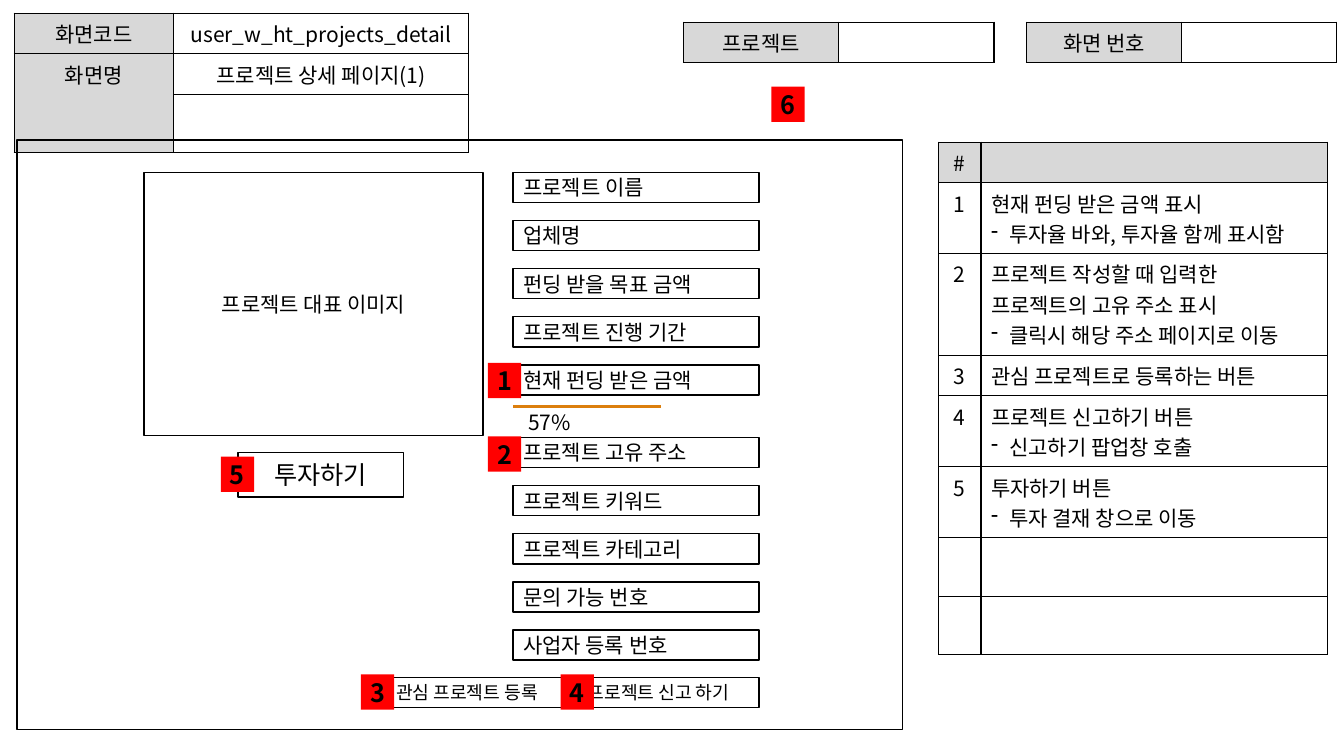
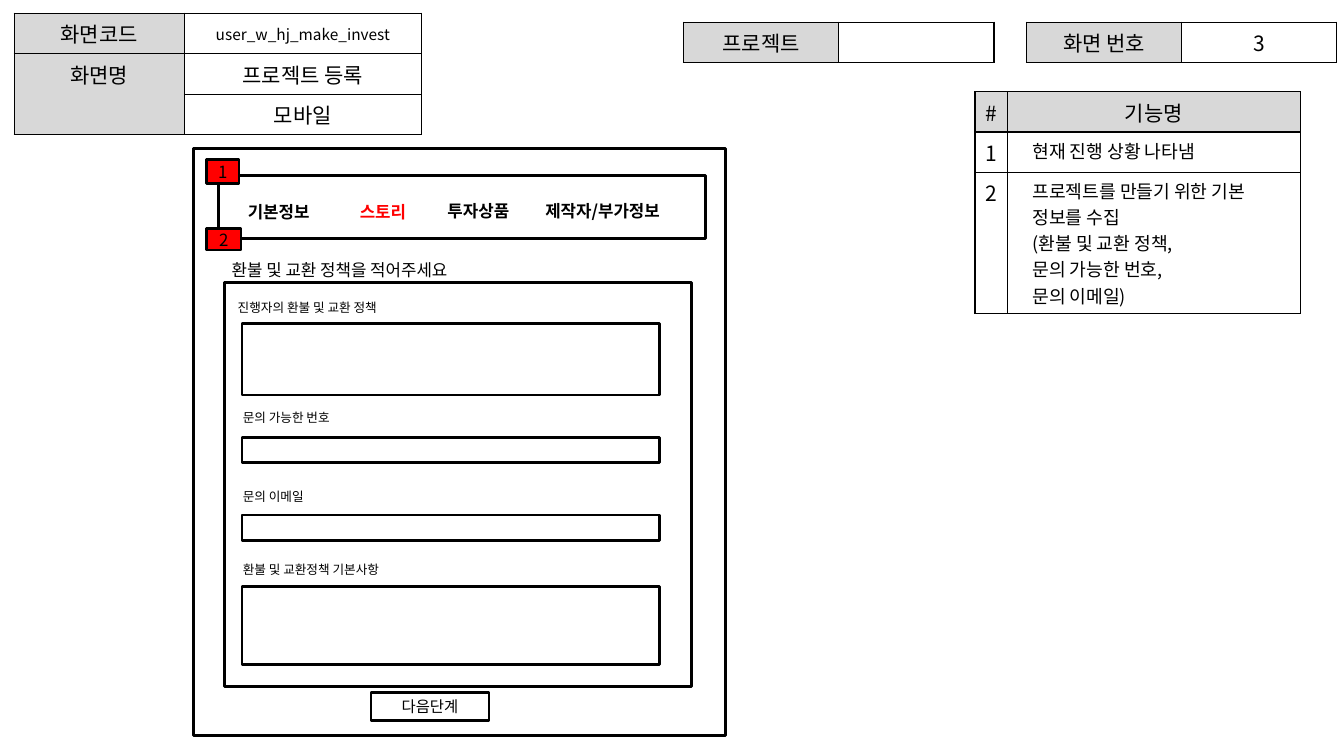
from dataclasses import dataclass
from typing import NamedTuple, Optional

from lxml.etree import SubElement
from pptx import Presentation
from pptx.dml.color import RGBColor
from pptx.enum.shapes import MSO_CONNECTOR as Connector, MSO_SHAPE as Preset
from pptx.enum.text import MSO_ANCHOR as Anchor, PP_ALIGN as Align
from pptx.oxml.ns import qn
from pptx.slide import Slide
from pptx.util import Inches, Pt


# Theme: colours, type sizes and line weights
@dataclass(frozen=True)
class Theme:
    font: str = "Noto Sans CJK KR"
    ink: str = "000000"
    paper: str = "FFFFFF"
    header: str = "D8D8D8"
    marker: str = "FF0000"
    progress: str = "DC7F0D"
    caption: int = 9
    small: int = 11
    label: int = 12
    note: int = 13
    body: int = 15
    large: int = 18
    border: float = 0.96
    thin: float = 1
    thick: float = 2


THEME = Theme()


class Area(NamedTuple):
    left: float
    top: float
    width: float
    height: float


@dataclass(frozen=True)
class Look:
    size: int = THEME.body
    color: str = THEME.ink
    bold: bool = False
    align: Align = Align.LEFT
    anchor: Anchor = Anchor.MIDDLE
    fill: Optional[str] = None
    line: float = 0
    wrap: bool = True


@dataclass(frozen=True)
class Cell:
    text: str = ""
    fill: str = THEME.paper
    size: int = THEME.body
    align: Align = Align.CENTER
    anchor: Anchor = Anchor.TOP
    indent: float = 0


class FieldGroup(NamedTuple):
    first_top: float
    last_top: float
    labels: list[str]


class FormInput(NamedTuple):
    caption: str
    caption_left: float
    caption_top: float
    top: float
    height: float


class NavTab(NamedTuple):
    text: str
    area: Area
    color: str = THEME.ink


FIELD = Look(line=THEME.thin)
FIELD_BUTTON = Look(size=THEME.note, line=THEME.thin)
IMAGE_AREA = Look(align=Align.CENTER, line=THEME.thin)
INVEST_BUTTON = Look(size=THEME.large, align=Align.CENTER, fill=THEME.paper, line=THEME.thin)
PERCENT = Look(align=Align.CENTER, fill=THEME.paper, wrap=False)
BADGE = Look(size=THEME.large, bold=True, align=Align.CENTER, fill=THEME.marker, wrap=False)
STEP_BADGE = Look(size=THEME.label, align=Align.CENTER, fill=THEME.marker,
                  line=THEME.thick, wrap=False)
OUTLINE = Look(line=THEME.thick)
NEXT_BUTTON = Look(size=THEME.small, align=Align.CENTER, line=THEME.thick)


# Drawing helpers
def inches(area: Area) -> list[int]:
    return [Inches(length) for length in area]


def write_run(paragraph, text: str, size: int, color: str, bold: bool = False) -> None:
    run = paragraph.add_run()
    run.text = text
    for name, value in {"name": THEME.font, "size": Pt(size), "bold": bold}.items():
        setattr(run.font, name, value)
    run.font.color.rgb = RGBColor.from_string(color)
    SubElement(run.font._element, qn("a:ea"), typeface=THEME.font)


def draw_box(slide: Slide, area: Area, look: Look, text: str = "") -> None:
    box = slide.shapes.add_shape(Preset.RECTANGLE, *inches(area))
    box.shadow.inherit = False
    if look.fill:
        box.fill.solid()
        box.fill.fore_color.rgb = RGBColor.from_string(look.fill)
    else:
        box.fill.background()
    if look.line:
        box.line.width = Pt(look.line)
        box.line.color.rgb = RGBColor.from_string(THEME.ink)
    else:
        box.line.fill.background()
    if text:
        frame = box.text_frame
        for name, value in {"word_wrap": look.wrap, "vertical_anchor": look.anchor}.items():
            setattr(frame, name, value)
        frame.paragraphs[0].alignment = look.align
        write_run(frame.paragraphs[0], text, look.size, look.color, look.bold)


def draw_text(slide: Slide, area: Area, text: str, size: int,
              color: str = THEME.ink, bold: bool = False) -> None:
    frame = slide.shapes.add_textbox(*inches(area)).text_frame
    frame.word_wrap = True
    write_run(frame.paragraphs[0], text, size, color, bold)


def fill_cell(target, cell: Cell) -> None:
    target.fill.solid()
    target.fill.fore_color.rgb = RGBColor.from_string(cell.fill)
    target.vertical_anchor = cell.anchor
    properties = target._tc.get_or_add_tcPr()
    for position, side in enumerate(("lnL", "lnR", "lnT", "lnB")):
        border = SubElement(properties, qn(f"a:{side}"), w=str(Pt(THEME.border)))
        SubElement(SubElement(border, qn("a:solidFill")), qn("a:srgbClr"), val=THEME.ink)
        properties.insert(position, border)
    for index, line in enumerate(cell.text.split("\n")):
        frame = target.text_frame
        paragraph = frame.add_paragraph() if index else frame.paragraphs[0]
        paragraph.alignment = cell.align
        layout = paragraph._p.get_or_add_pPr()
        if line.startswith("- "):
            hang = Inches(0.18)
            layout.set("marL", str(hang))
            layout.set("indent", str(-hang))
            SubElement(layout, qn("a:buChar"), char="-")
            line = line[2:]
        elif cell.indent:
            layout.set("marL", str(Inches(cell.indent)))
        if line:
            write_run(paragraph, line, cell.size, THEME.ink)
        else:
            SubElement(paragraph._p, qn("a:endParaRPr"), sz=str(cell.size * 100))


def draw_table(slide: Slide, left: float, top: float, widths: list[float],
               heights: list[float], rows: list[list[Cell]]):
    area = Area(left, top, sum(widths), sum(heights))
    table = slide.shapes.add_table(len(rows), len(widths), *inches(area)).table
    for name in ("first_row", "horz_banding"):
        setattr(table, name, False)
    for column, width in zip(table.columns, widths):
        column.width = Inches(width)
    for row, height, cells in zip(table.rows, heights, rows):
        row.height = Inches(height)
        for target, cell in zip(row.cells, cells):
            fill_cell(target, cell)
    return table


def head(text: str = "") -> Cell:
    return Cell(text, THEME.header)


# Header tables shared by every screen
def draw_header(slide: Slide, widths: list[float], last_height: float, code: Cell,
                name: str, variant: str = "", number: str = "") -> None:
    screen = draw_table(slide, 0.14, 0.13, widths, [0.4, 0.4, last_height], [
        [head("화면코드"), code],
        [head("화면명"), Cell(name)],
        [head(), Cell(variant)],
    ])
    screen.cell(1, 0).merge(screen.cell(2, 0))
    for left, label, value in ((10.18, "화면 번호", number), (6.78, "프로젝트", "")):
        draw_table(slide, left, 0.22, [1.54, 1.54], [0.4], [[head(label), Cell(value)]])


def draw_detail_screen(slide: Slide) -> None:
    draw_header(slide, [1.58, 2.93], 0.58, Cell("user_w_ht_projects_detail"),
                "프로젝트 상세 페이지(1)")

    # Feature descriptions
    features = [
        "현재 펀딩 받은 금액 표시\n- 투자율 바와, 투자율 함께 표시함",
        "프로젝트 작성할 때 입력한 프로젝트의 고유 주소 표시\n- 클릭시 해당 주소 페이지로 이동",
        "관심 프로젝트로 등록하는 버튼",
        "프로젝트 신고하기 버튼\n- 신고하기 팝업창 호출",
        "투자하기 버튼\n- 투자 결재 창으로 이동",
    ]
    rows = [[Cell(str(number)), Cell(feature, align=Align.LEFT)]
            for number, feature in enumerate(features, 1)]
    draw_table(slide, 9.31, 1.41, [0.42, 3.44],
               [0.4, 0.7, 1.01, 0.4, 0.7, 0.7, 0.58, 0.58],
               [[head("#"), head()], *rows, *[[Cell(), Cell()]] * 2])

    # Funding progress
    bar = slide.shapes.add_connector(Connector.STRAIGHT, Inches(5.09), Inches(4.03),
                                     Inches(6.56), Inches(4.03))
    bar.line.width = Pt(2.25)
    bar.line.color.rgb = RGBColor.from_string(THEME.progress)
    SubElement(bar._element.spPr, qn("a:effectLst"))
    draw_box(slide, Area(5.13, 4.09, 0.64, 0.2), PERCENT, "57%")

    # Page frame, image and project fields
    draw_box(slide, Area(0.17, 1.39, 8.78, 5.85), FIELD)
    draw_box(slide, Area(1.43, 1.71, 3.36, 2.61), IMAGE_AREA, "프로젝트 대표 이미지")
    groups = [
        FieldGroup(1.71, 3.62, ["프로젝트 이름", "업체명", "펀딩 받을 목표 금액",
                                "프로젝트 진행 기간", "현재 펀딩 받은 금액"]),
        FieldGroup(4.34, 6.25, ["프로젝트 고유 주소", "프로젝트 키워드", "프로젝트 카테고리",
                                "문의 가능 번호", "사업자 등록 번호"]),
    ]
    for group in groups:
        step = (group.last_top - group.first_top) / (len(group.labels) - 1)
        for index, label in enumerate(group.labels):
            draw_box(slide, Area(5.09, group.first_top + index * step, 2.44, 0.3), FIELD, label)

    # Buttons and numbered markers
    for left, label in ((3.83, "관심 프로젝트 등록"), (5.73, "프로젝트 신고 하기")):
        draw_box(slide, Area(left, 6.72, 1.8, 0.3), FIELD_BUTTON, label)
    draw_box(slide, Area(2.36, 4.49, 1.64, 0.44), INVEST_BUTTON, "투자하기")
    markers = [(4.84, 3.6), (4.84, 4.33), (3.58, 6.69), (5.56, 6.69), (2.19, 4.53), (7.65, 0.86)]
    for number, (left, top) in enumerate(markers, 1):
        draw_box(slide, Area(left, top, 0.33, 0.35), BADGE, str(number))


def draw_invest_screen(slide: Slide) -> None:
    code = Cell("user_w_hj_make_invest", size=THEME.small, anchor=Anchor.MIDDLE)
    draw_header(slide, [1.69, 2.35], 0.4, code, "프로젝트 등록", "모바일", "3")

    # Page frame, navigation, form panel
    for area in (Area(1.92, 1.47, 5.28, 5.83), Area(2.17, 1.74, 4.83, 0.63),
                 Area(2.23, 2.8, 4.63, 4.01)):
        draw_box(slide, area, OUTLINE)
    tabs = [
        NavTab("기본정보", Area(2.36, 1.95, 1.3, 0.3)),
        NavTab("스토리", Area(3.47, 1.95, 1.26, 0.3), THEME.marker),
        NavTab("투자상품", Area(4.34, 1.94, 1.26, 0.3)),
        NavTab("제작자/부가정보", Area(5.31, 1.94, 2.13, 0.3)),
    ]
    for tab in tabs:
        draw_text(slide, tab.area, tab.text, THEME.label, tab.color, bold=True)

    # Form
    draw_text(slide, Area(2.2, 2.53, 3.6, 0.45), "환불 및 교환 정책을 적어주세요", THEME.label)
    inputs = [
        FormInput("진행자의 환불 및 교환 정책", 2.26, 2.93, 3.21, 0.71),
        FormInput("문의 가능한 번호", 2.31, 4.02, 4.34, 0.25),
        FormInput("문의 이메일", 2.31, 4.8, 5.11, 0.25),
        FormInput("환불 및 교환정책 기본사항", 2.31, 5.52, 5.82, 0.77),
    ]
    for entry in inputs:
        draw_text(slide, Area(entry.caption_left, entry.caption_top, 3.6, 0.25),
                  entry.caption, THEME.caption)
        draw_box(slide, Area(2.4, entry.top, 4.14, entry.height), OUTLINE)
    draw_box(slide, Area(3.68, 6.87, 1.17, 0.28), NEXT_BUTTON, "다음단계")

    # Numbered markers
    for number, area in enumerate((Area(2.05, 1.58, 0.32, 0.24), Area(2.05, 2.27, 0.34, 0.21)), 1):
        draw_box(slide, area, STEP_BADGE, str(number))

    # Feature descriptions
    features = [
        "현재 진행 상황 나타냄",
        "프로젝트를 만들기 위한 기본 정보를 수집\n(환불 및 교환 정책,\n문의 가능한 번호,\n문의 이메일)",
    ]
    rows = [[Cell(str(number)), Cell(feature, size=THEME.note, align=Align.LEFT, indent=0.15)]
            for number, feature in enumerate(features, 1)]
    draw_table(slide, 9.67, 0.91, [0.32, 2.91], [0.4, 0.4, 1.4],
               [[head("#"), head("기능명")], *rows])


def main() -> None:
    deck = Presentation()
    deck.slide_width, deck.slide_height = Inches(13.33), Inches(7.5)
    for draw_screen in (draw_detail_screen, draw_invest_screen):
        draw_screen(deck.slides.add_slide(deck.slide_layouts[6]))
    deck.save("out.pptx")


if __name__ == "__main__":
    main()
